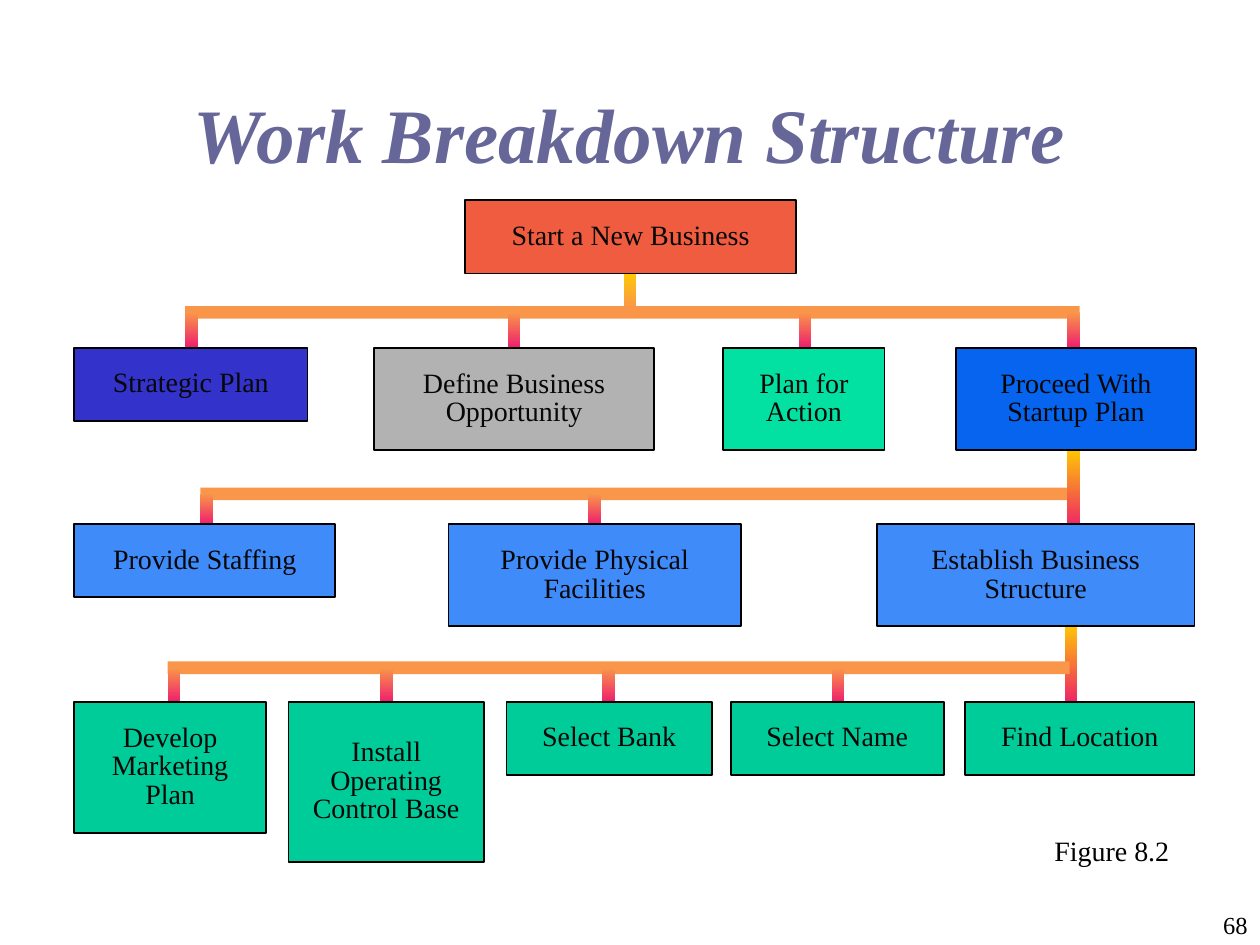
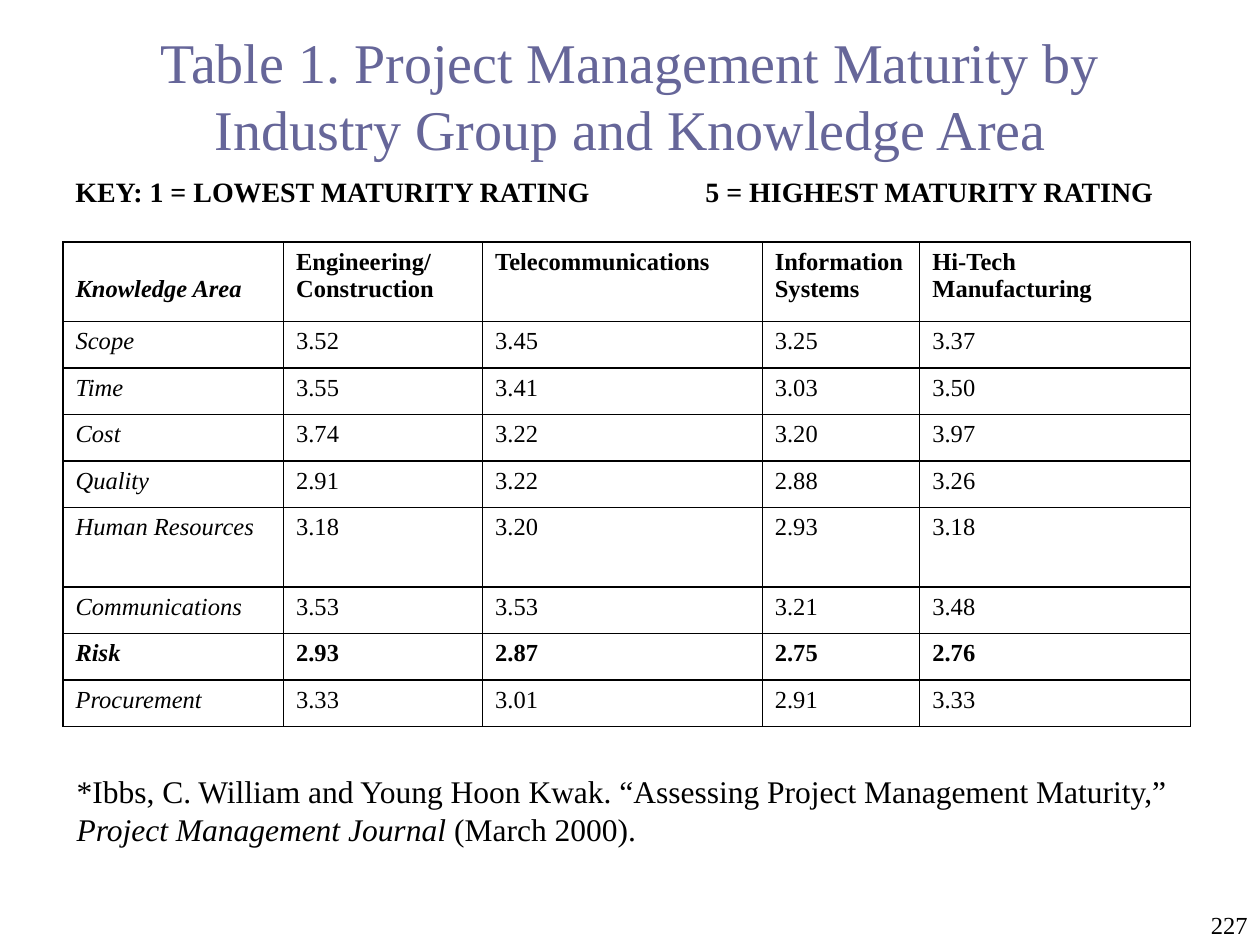
from dataclasses import dataclass

from lxml.etree import SubElement
from pptx import Presentation
from pptx.dml.color import RGBColor as RGB
from pptx.enum.shapes import MSO_SHAPE as SHAPE
from pptx.enum.text import MSO_ANCHOR as ANCHOR, PP_ALIGN as ALIGN
from pptx.oxml import parse_xml
from pptx.oxml.ns import nsdecls, qn
from pptx.util import Pt

PX = 9144  # 100 px to the inch


@dataclass(frozen=True)
class Theme:
    font: str = "Times New Roman"
    title: str = "666699"
    text: str = "000000"
    box_text: str = "070707"
    line: str = "000000"
    bar: str = "F9964A"
    yellow: str = "FFCC00"
    pink: str = "ED1770"
    root: str = "F05C3F"
    indigo: str = "3333CC"
    grey: str = "B2B2B2"
    mint: str = "03E1A2"
    blue: str = "0664EE"
    sky: str = "408BFA"
    green: str = "00CC99"
    title_big: int = 44
    title_small: int = 32
    note: int = 18
    body: int = 16
    small: int = 14


T = Theme()


def add_text(s, box, text, size, color=T.text, bold=False, italic=False,
             align=ALIGN.LEFT, anchor=ANCHOR.TOP):
    """Add a wrapped text box in one style and return its text frame."""
    tf = s.shapes.add_textbox(*(v * PX for v in box)).text_frame
    tf.text = text
    tf.word_wrap = True
    tf.vertical_anchor = anchor
    for p in tf.paragraphs:
        p.alignment = align
        for r in p.runs:
            r.font.name, r.font.size = T.font, Pt(size)
            r.font.bold, r.font.italic = bold, italic
            r.font.color.rgb = RGB.from_string(color)
    return tf


def add_block(s, box, colors):
    """Add a rectangle without outline: one colour, or two from top to bottom."""
    sp = s.shapes.add_shape(SHAPE.RECTANGLE, *(v * PX for v in box))
    sp.shadow.inherit = False
    sp.line.fill.background()
    if len(colors) == 1:
        sp.fill.solid()
        sp.fill.fore_color.rgb = RGB.from_string(colors[0])
    else:
        sp.fill.gradient()
        sp.fill.gradient_angle = 270
        for stop, color in zip(sp.fill.gradient_stops, colors):
            stop.color.rgb = RGB.from_string(color)
    return sp


prs = Presentation()
prs.slide_width, prs.slide_height = 1000 * PX, 750 * PX
chart_slide, table_slide = (prs.slides.add_slide(prs.slide_layouts[6]) for _ in range(2))

for s, number in ((chart_slide, "68"), (table_slide, "227")):
    add_text(s, (892, 717, 108, 33), number, T.small, align=ALIGN.RIGHT)

# Slide 1: work breakdown structure
s = chart_slide
add_text(s, (75, 67, 850, 76), "Work Breakdown Structure", T.title_big, T.title,
         True, True, ALIGN.CENTER, ANCHOR.MIDDLE)
add_text(s, (827, 657, 125, 37), "Figure 8.2", T.body)

THICK = 10
drop_colors = (T.bar, T.pink)
long_trunk = (T.yellow, T.pink)

# Each level: bar (left, top, width), trunk (left, top, height), trunk colours,
# whether the trunk covers the bar, drop positions, top of the boxes,
# boxes (left, width, text lines, colour, text)
levels = [
    ((133, 525, 716), (845, 494, 68), long_trunk, False, (133, 302, 478, 660), 557, [
        (59, 152, 3, T.green, "Develop Marketing Plan"),
        (229, 155, 4, T.green, "Install Operating Control Base"),
        (402, 163, 1, T.green, "Select Bank"),
        (580, 169, 1, T.green, "Select Name"),
        (766, 182, 1, T.green, "Find Location")]),
    ((159, 387, 692), (847, 355, 68), long_trunk, True, (159, 467), 416, [
        (59, 207, 1, T.sky, "Provide Staffing"),
        (356, 232, 2, T.sky, "Provide Physical Facilities"),
        (696, 252, 2, T.sky, "Establish Business Structure")]),
    ((147, 243, 710), (495, 215, 30), (T.yellow, T.bar), False, (147, 403, 634, 847), 276, [
        (59, 185, 1, T.indigo, "Strategic Plan"),
        (297, 222, 2, T.grey, "Define Business Opportunity"),
        (574, 128, 2, T.mint, "Plan for Action"),
        (759, 190, 2, T.blue, "Proceed With Startup Plan")]),
    (None, None, None, False, (), 159, [
        (369, 263, 1, T.root, "Start a New Business")]),
]

for bar, trunk, trunk_colors, trunk_on_top, drops, box_top, boxes in levels:
    if bar:
        left, top, width = bar
        blocks = [((left, top, width, THICK), (T.bar,)),
                  ((trunk[0], trunk[1], THICK, trunk[2]), trunk_colors)]
        for block, colors in blocks if trunk_on_top else reversed(blocks):
            add_block(s, block, colors)
        for x in drops:
            add_block(s, (x, top + 5, THICK, box_top - top - 3), drop_colors)
    for left, width, lines, color, label in boxes:
        sp = add_block(s, (left, box_top, width, 35 + 23 * lines), (color,))
        sp.line.color.rgb = RGB.from_string(T.line)
        sp.line.width = Pt(1)
        tf = sp.text_frame
        tf.text = label
        tf.word_wrap = True
        tf.vertical_anchor = ANCHOR.MIDDLE
        tf.margin_left = tf.margin_right = 18 * PX
        tf.margin_top = tf.margin_bottom = 17 * PX
        p = tf.paragraphs[0]
        p.alignment, p.line_spacing = ALIGN.CENTER, 0.85
        font = p.runs[0].font
        font.name, font.size = T.font, Pt(T.body)
        font.color.rgb = RGB.from_string(T.box_text)

# Slide 2: maturity table
s = table_slide
add_text(s, (42, 25, 917, 100),
         "Table 1. Project Management Maturity by\vIndustry Group and Knowledge Area",
         T.title_small, T.title, align=ALIGN.CENTER, anchor=ANCHOR.MIDDLE)

tf = add_text(s, (50, 133, 881, 37),
              "KEY: 1 = LOWEST MATURITY RATING\t5 = HIGHEST MATURITY RATING",
              T.body, bold=True, anchor=ANCHOR.MIDDLE)
tabs = SubElement(tf.paragraphs[0]._p.get_or_add_pPr(), qn("a:tabLst"))
SubElement(tabs, qn("a:tab"), pos=str(500 * PX), algn="l")

rows = [
    ("Knowledge Area", "Engineering/ Construction", "Telecommunications",
     "Information Systems", "Hi-Tech\vManufacturing"),
    ("Scope", "3.52", "3.45", "3.25", "3.37"),
    ("Time", "3.55", "3.41", "3.03", "3.50"),
    ("Cost", "3.74", "3.22", "3.20", "3.97"),
    ("Quality", "2.91", "3.22", "2.88", "3.26"),
    ("Human Resources", "3.18", "3.20", "2.93", "3.18"),
    ("Communications", "3.53", "3.53", "3.21", "3.48"),
    ("Risk", "2.93", "2.87", "2.75", "2.76"),
    ("Procurement", "3.33", "3.01", "2.91", "3.33"),
]
col_widths = (175, 158, 222, 125, 215)
tall_rows = ("Knowledge Area", "Human Resources")
bold_rows = ("Knowledge Area", "Risk")

table = s.shapes.add_table(len(rows), len(col_widths), 50 * PX, 192 * PX,
                           sum(col_widths) * PX, 385 * PX).table
table.first_row = table.horz_banding = False
for col, width in zip(table.columns, col_widths):
    col.width = width * PX
for i, values in enumerate(rows):
    table.rows[i].height = (63 if values[0] in tall_rows else 37) * PX
    for j, value in enumerate(values):
        cell = table.cell(i, j)
        cell.text = value
        cell.fill.background()
        for r in cell.text_frame.paragraphs[0].runs:
            r.font.name, r.font.size = T.font, Pt(T.small)
            r.font.bold, r.font.italic = values[0] in bold_rows, j == 0
            r.font.color.rgb = RGB.from_string(T.text)
        tc_pr = cell._tc.get_or_add_tcPr()
        for k, side in enumerate(("lnL", "lnR", "lnT", "lnB")):
            tc_pr.insert(k, parse_xml(
                f'<a:{side} {nsdecls("a")} w="{Pt(1)}"><a:solidFill>'
                f'<a:srgbClr val="{T.line}"/></a:solidFill></a:{side}>'))
corner = table.cell(0, 0)
corner.vertical_anchor = ANCHOR.BOTTOM
corner.margin_bottom = 15 * PX

tf = add_text(s, (51, 608, 899, 70),
              "*Ibbs, C. William and Young Hoon Kwak. “Assessing Project Management Maturity,”\n"
              "Project Management Journal",
              T.note, anchor=ANCHOR.MIDDLE)
p = tf.paragraphs[1]
p.runs[0].font.italic = True
r = p.add_run()
r.text = " (March 2000)."
r.font.name, r.font.size = T.font, Pt(T.note)
r.font.color.rgb = RGB.from_string(T.text)

prs.save("out.pptx")
